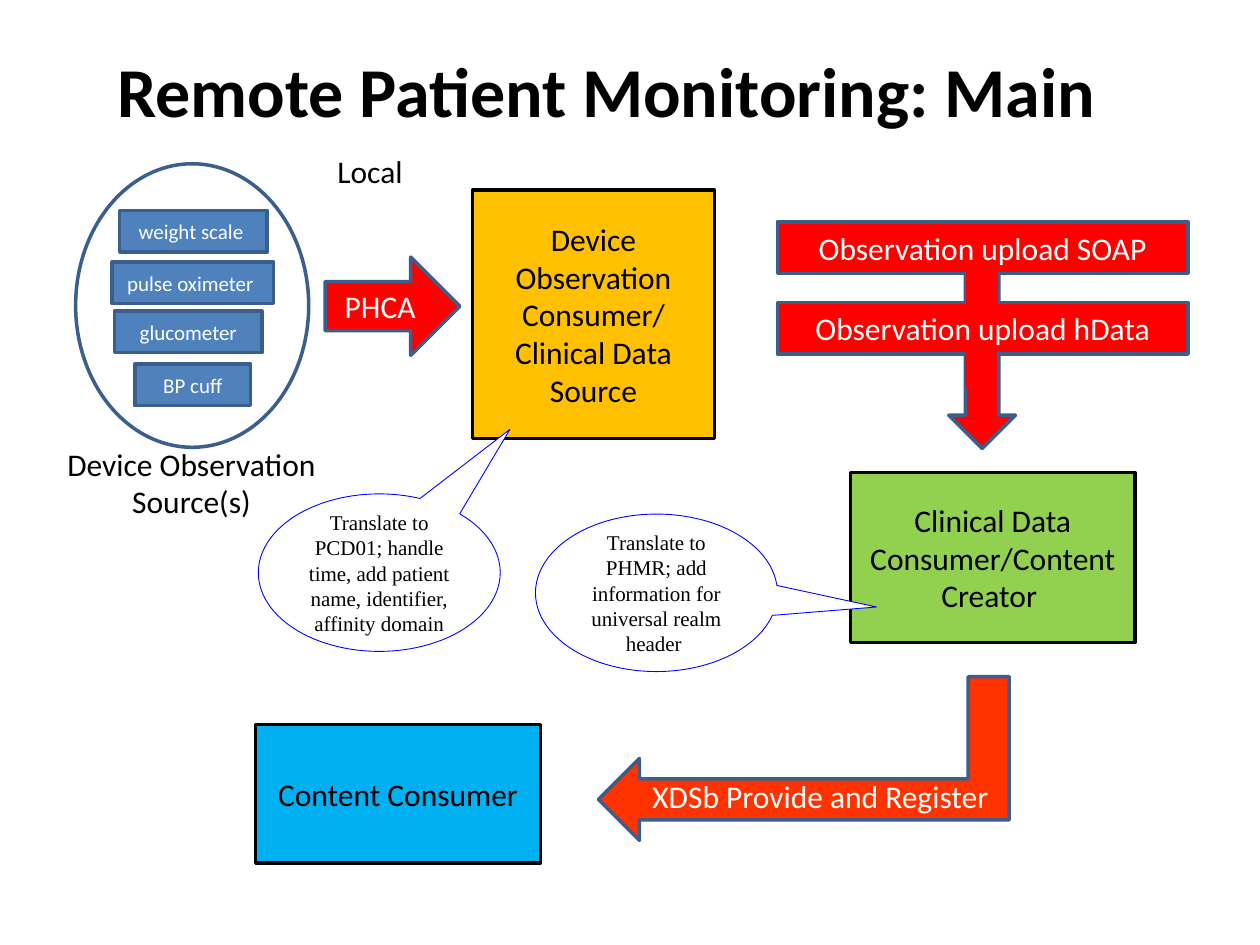
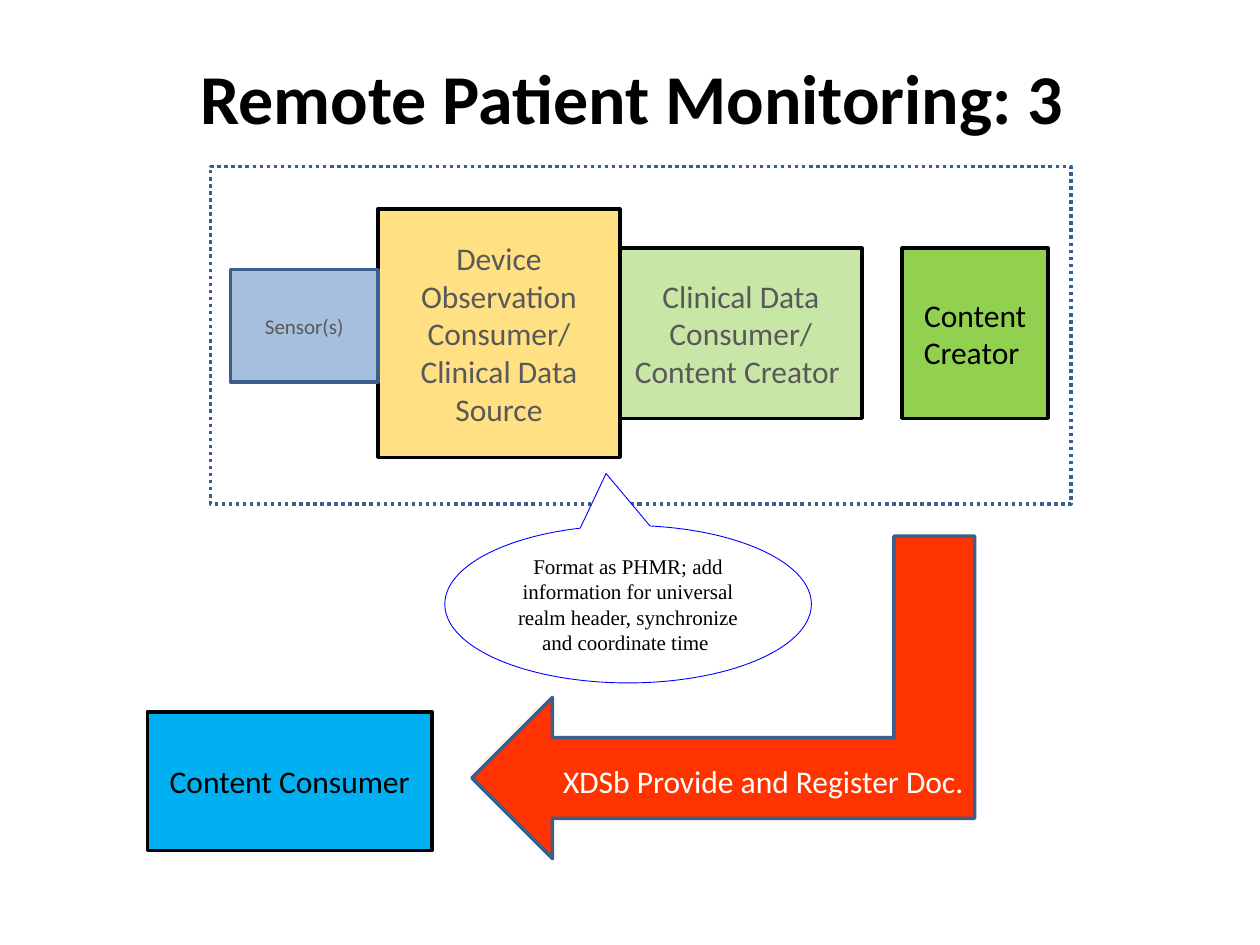
"""Build two remote patient monitoring workflow slides."""
from dataclasses import dataclass, replace
from typing import Optional

from lxml import etree
from pptx import Presentation
from pptx import util as u
from pptx.dml.color import RGBColor
from pptx.enum import dml, shapes, text
from pptx.oxml.ns import qn

EMU_PER_PX = 9144
SLIDE_SIZE = (1000, 750)
TITLE_ONLY = 5
COLOURS = {
    "black": "000000", "white": "FFFFFF", "grey": "595959",
    "amber": "FFC000", "blue": "4F81BD", "steel": "3A5F8C",
    "green": "92D050", "sky": "00B0F0", "red": "FF0000",
    "vermilion": "FF3300", "outline": "0000FF",
}
Preset = shapes.MSO_SHAPE
Box = tuple[int, int, int, int]


@dataclass(frozen=True)
class Style:
    fill: Optional[str]
    line: str
    ink: str = "black"
    size: int = 18
    font: str = "Calibri"
    weight: float = 2
    opacity: int = 100
    dotted: bool = False


@dataclass(frozen=True)
class Part:
    at: Box
    style: Style
    wording: str = ""
    preset: Preset = Preset.RECTANGLE
    pointer: tuple[float, ...] = ()
    turned: bool = False


@dataclass(frozen=True)
class Label:
    at: Box
    wording: str
    ink: str = "black"
    align: text.PP_ALIGN = text.PP_ALIGN.LEFT
    size: int = 18
    bold: bool = False


SOURCE = Style("amber", "black")
CREATOR = Style("green", "black")
CONSUMER = Style("sky", "black")
DEVICE = Style("blue", "steel", "white", 12)
TRANSFER = Style("red", "steel", "white")
PATCH = Style("red", "red")
REGISTER = Style("vermilion", "steel")
FRAME = Style(None, "steel")
NOTE = Style("white", "outline", size=12, font="Times New Roman", weight=0.5)


def faded(style: Style, opacity: int = 50) -> Style:
    return replace(style, ink="grey", opacity=opacity)


def note(at: Box, wording: str, pointer: tuple[float, float]) -> Part:
    return Part(at, NOTE, wording, Preset.OVAL_CALLOUT, pointer)


def register_arrow(at: Box) -> Part:
    return Part(at, REGISTER, preset=Preset.BENT_UP_ARROW, turned=True)


def content_consumer(left: int, top: int) -> Part:
    return Part((left, top, 226, 110), CONSUMER, "Content Consumer")


DEVICES = [
    ("weight scale ", 95, 167, 117),
    ("pulse oximeter ", 89, 208, 128),
    ("glucometer", 91, 247, 117),
    ("BP cuff", 107, 289, 92),
]
UPLOADS = [("Observation upload SOAP", 176), ("Observation upload hData", 240)]

MAIN_FLOW = [
    Label((83, 33, 805, 77), "Remote Patient Monitoring: Main", size=40, bold=True),
    Part((375, 151, 192, 197), SOURCE, "Device Observation Consumer/\nClinical Data Source"),
    *(Part((left, top, width, 33), DEVICE, device) for device, left, top, width in DEVICES),
    Part((60, 130, 185, 225), FRAME, preset=Preset.OVAL),
    Part((675, 375, 226, 135), CREATOR, "Clinical Data Consumer/Content Creator "),
    content_consumer(203, 575),
    Label((258, 116, 73, 40), "Local"),
    Part((258, 204, 107, 78), TRANSFER, "PHCA", Preset.RIGHT_ARROW),
    Part((753, 217, 53, 139), TRANSFER, preset=Preset.DOWN_ARROW),
    *(Part((617, top, 326, 41), TRANSFER, upload) for upload, top in UPLOADS),
    Part((767, 281, 23, 25), PATCH),
    Part((768, 215, 23, 28), PATCH),
    register_arrow((573, 439, 130, 326)),
    Label((508, 612, 296, 40), "XDSb Provide and Register", "white"),
    note((205, 392, 192, 125),
         "Translate to PCD01; handle time, add patient name, identifier, affinity domain",
         (0.54, -0.91)),
    note((425, 408, 192, 125),
         "Translate to PHMR; add information for universal realm header ",
         (0.91, 0.09)),
    Label((42, 348, 220, 71), "Device Observation\nSource(s)", align=text.PP_ALIGN.CENTER),
]

COMBINED_FLOW = [
    Label((149, 38, 713, 77), "Remote Patient Monitoring: 3", size=40, bold=True),
    Part((300, 166, 192, 197), faded(SOURCE, 49),
         "Device Observation Consumer/ Clinical Data Source"),
    Part((183, 214, 117, 89), faded(DEVICE), "Sensor(s)"),
    Part((492, 197, 192, 135), faded(CREATOR), "Clinical Data Consumer/\nContent Creator "),
    content_consumer(117, 565),
    Part((167, 132, 683, 268), replace(FRAME, dotted=True)),
    register_arrow((446, 354, 256, 399)),
    Label((437, 600, 342, 40), "XDSb Provide and Register Doc.", "white"),
    note((353, 417, 291, 125),
         "Format as PHMR; add information for universal realm header, "
         "synchronize and coordinate time ",
         (-0.06, -0.83)),
    Part((716, 197, 116, 135), CREATOR, "Content Creator "),
]


def emu(px: int) -> u.Emu:
    return u.Emu(px * EMU_PER_PX)


def colour(key: str) -> RGBColor:
    return RGBColor.from_string(COLOURS[key])


def write(frame, wording: str, font: str, size: int, ink: str,
          align: text.PP_ALIGN, bold: bool = False) -> None:
    frame.text = wording
    for paragraph in frame.paragraphs:
        paragraph.alignment = align
        for run in paragraph.runs:
            run.font.name = font
            run.font.size = u.Pt(size)
            run.font.bold = bold
            run.font.color.rgb = colour(ink)


def paint(shape, style: Style) -> None:
    shape.shadow.inherit = False
    shape.line.color.rgb = colour(style.line)
    shape.line.width = u.Pt(style.weight)
    if style.dotted:
        shape.line.dash_style = dml.MSO_LINE.ROUND_DOT
    if style.fill is None:
        shape.fill.background()
        return
    shape.fill.solid()
    shape.fill.fore_color.rgb = colour(style.fill)
    if style.opacity < 100:
        tint = shape.element.spPr.find(qn("a:solidFill")).find(qn("a:srgbClr"))
        etree.SubElement(tint, qn("a:alpha"), val=str(style.opacity * 1000))


def draw_part(slide, part: Part) -> None:
    shape = slide.shapes.add_shape(part.preset, *map(emu, part.at))
    paint(shape, part.style)
    for index, offset in enumerate(part.pointer):
        shape.adjustments[index] = offset
    if part.turned:
        shape.rotation = 90
        shape.element.spPr.find(qn("a:xfrm")).set("flipV", "1")
    if part.wording:
        style = part.style
        shape.text_frame.word_wrap = True
        write(shape.text_frame, part.wording, style.font, style.size, style.ink,
              text.PP_ALIGN.CENTER)


def draw_label(slide, label: Label) -> None:
    if label.bold:
        holder = slide.shapes.title
        holder.left, holder.top, holder.width, holder.height = map(emu, label.at)
    else:
        holder = slide.shapes.add_textbox(*map(emu, label.at))
    frame = holder.text_frame
    write(frame, label.wording, "Calibri", label.size, label.ink, label.align, label.bold)
    frame.word_wrap = False
    frame.vertical_anchor = text.MSO_ANCHOR.TOP
    frame.auto_size = text.MSO_AUTO_SIZE.SHAPE_TO_FIT_TEXT


def main() -> None:
    deck = Presentation()
    deck.slide_width, deck.slide_height = map(emu, SLIDE_SIZE)
    for flow in (MAIN_FLOW, COMBINED_FLOW):
        slide = deck.slides.add_slide(deck.slide_layouts[TITLE_ONLY])
        for item in flow:
            if isinstance(item, Label):
                draw_label(slide, item)
            else:
                draw_part(slide, item)
    deck.save("out.pptx")


if __name__ == "__main__":
    main()
